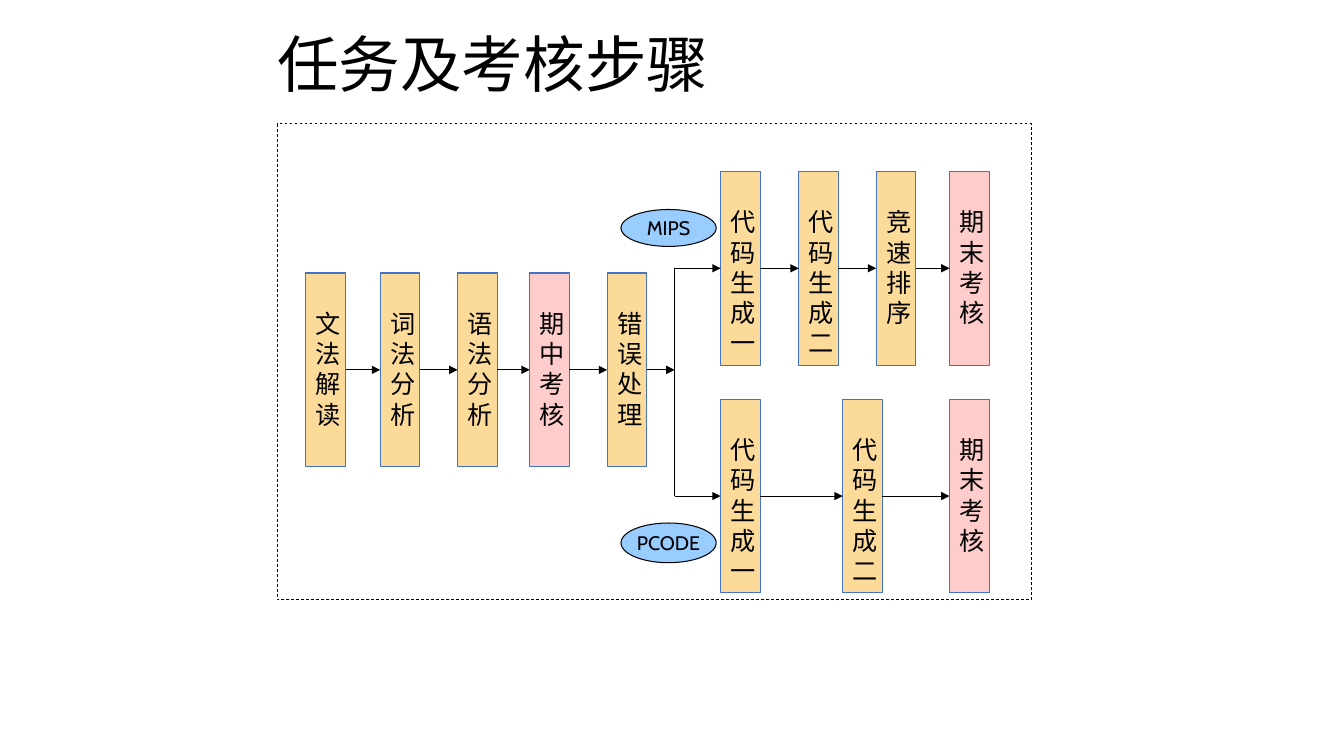
"""Build the slide that shows the tasks and the assessment steps."""
from lxml.etree import SubElement
from pptx import Presentation
from pptx.dml.color import RGBColor
from pptx.enum.dml import MSO_LINE
from pptx.enum.shapes import MSO_CONNECTOR, MSO_SHAPE
from pptx.enum.text import MSO_ANCHOR, PP_ALIGN
from pptx.oxml.ns import qn
from pptx.util import Cm, Pt

BLACK = RGBColor(0, 0, 0)
WHITE = RGBColor(255, 255, 255)
SAND = RGBColor(0xFC, 0xDB, 0x9A)
PINK = RGBColor(0xFF, 0xCC, 0xCC)
SKY = RGBColor(0x99, 0xCC, 0xFF)
BLUE = RGBColor(0x44, 0x72, 0xC4)

WIDE, HIGH = 1.0, 4.88
TRUNK = 17.0
MAIN, UPPER, LOWER = 6.88, 4.32, 10.06


class Chart:
    def __init__(self, slide, font="Cabin"):
        self.slide = slide
        self.font = font

    def words(self, frame, text, size, font, align):
        frame.text = text
        para = frame.paragraphs[0]
        para.alignment = align
        para.font.size = Pt(size)
        para.font.name = font
        para.font.color.rgb = BLACK
        return para

    def title(self, text, *box):
        title = self.slide.shapes.title
        title.left, title.top, title.width, title.height = map(Cm, box)
        title.text_frame.vertical_anchor = MSO_ANCHOR.MIDDLE
        para = self.words(title.text_frame, text, 44, "Noto Sans CJK SC", PP_ALIGN.LEFT)
        para.line_spacing = 0.9

    def shape(self, kind, box, fill, line, width=0.75):
        shape = self.slide.shapes.add_shape(kind, *map(Cm, box))
        shape.shadow.inherit = False
        shape.fill.solid()
        shape.fill.fore_color.rgb = fill
        shape.line.color.rgb = line
        shape.line.width = Pt(width)
        return shape

    def frame(self, *box):
        shape = self.shape(MSO_SHAPE.RECTANGLE, box, WHITE, BLACK, 0.5)
        shape.line.dash_style = MSO_LINE.DASH

    def step(self, text, left, top):
        fill = PINK if text.endswith("考核") else SAND
        step = self.shape(MSO_SHAPE.RECTANGLE, (left, top, WIDE, HIGH), fill, BLUE)
        frame = step.text_frame
        frame.word_wrap = True
        frame.vertical_anchor = MSO_ANCHOR.TOP
        frame.margin_top = Cm(0.89)
        self.words(frame, text, 18, self.font, PP_ALIGN.CENTER)
        return step

    def label(self, text, *box):
        oval = self.shape(MSO_SHAPE.OVAL, box, SKY, BLACK)
        oval.text_frame.word_wrap = False
        oval.text_frame.vertical_anchor = MSO_ANCHOR.MIDDLE
        self.words(oval.text_frame, text, 14, self.font, PP_ALIGN.CENTER)

    def line(self, start, end, source=None, target=None, arrow=True):
        line = self.slide.shapes.add_connector(
            MSO_CONNECTOR.STRAIGHT, *map(Cm, start + end))
        line.line.color.rgb = BLACK
        line.line.width = Pt(0.75)
        props = line.element.spPr
        if arrow:
            SubElement(props.find(qn("a:ln")), qn("a:tailEnd"), type="triangle")
        SubElement(props, qn("a:effectLst"))
        if source is not None:
            line.begin_connect(source, 3)
        if target is not None:
            line.end_connect(target, 1)

    def row(self, top, items):
        mid = top + HIGH / 2
        steps = [self.step(text, left, top) for text, left in items]
        for i in range(len(steps) - 1):
            start, end = items[i][1] + WIDE, items[i + 1][1]
            self.line((start, mid), (end, mid), steps[i], steps[i + 1])
        return steps


def main():
    deck = Presentation()
    deck.slide_width, deck.slide_height = Cm(33.87), Cm(19.05)
    chart = Chart(deck.slides.add_slide(deck.slide_layouts[5]))
    chart.title("任务及考核步骤", 6.73, 0.53, 21.64, 2.34)
    chart.frame(6.99, 3.12, 19.0, 11.99)

    main_row = chart.row(MAIN, [("文法解读", 7.71), ("词法分析", 9.58), ("语法分析", 11.53),
                                ("期中考核", 13.35), ("错误处理", 15.3)])
    upper = chart.row(UPPER, [("代码生成一", 18.16), ("代码生成二", 20.13),
                              ("竞速排序", 22.08), ("期末考核", 23.93)])
    lower = chart.row(LOWER, [("代码生成一", 18.16), ("代码生成二", 21.24),
                              ("期末考核", 23.93)])

    mid, high, low = (top + HIGH / 2 for top in (MAIN, UPPER, LOWER))
    chart.line((16.3, mid), (TRUNK, mid), source=main_row[-1])
    chart.line((TRUNK, high), (TRUNK, low), arrow=False)
    for y, steps in ((high, upper), (low, lower)):
        chart.line((TRUNK, y), (18.16, y), target=steps[0])

    chart.label("MIPS", 15.65, 5.28, 2.4, 0.93)
    chart.label("PCODE", 15.65, 13.18, 2.4, 1.0)
    deck.save("out.pptx")


if __name__ == "__main__":
    main()
